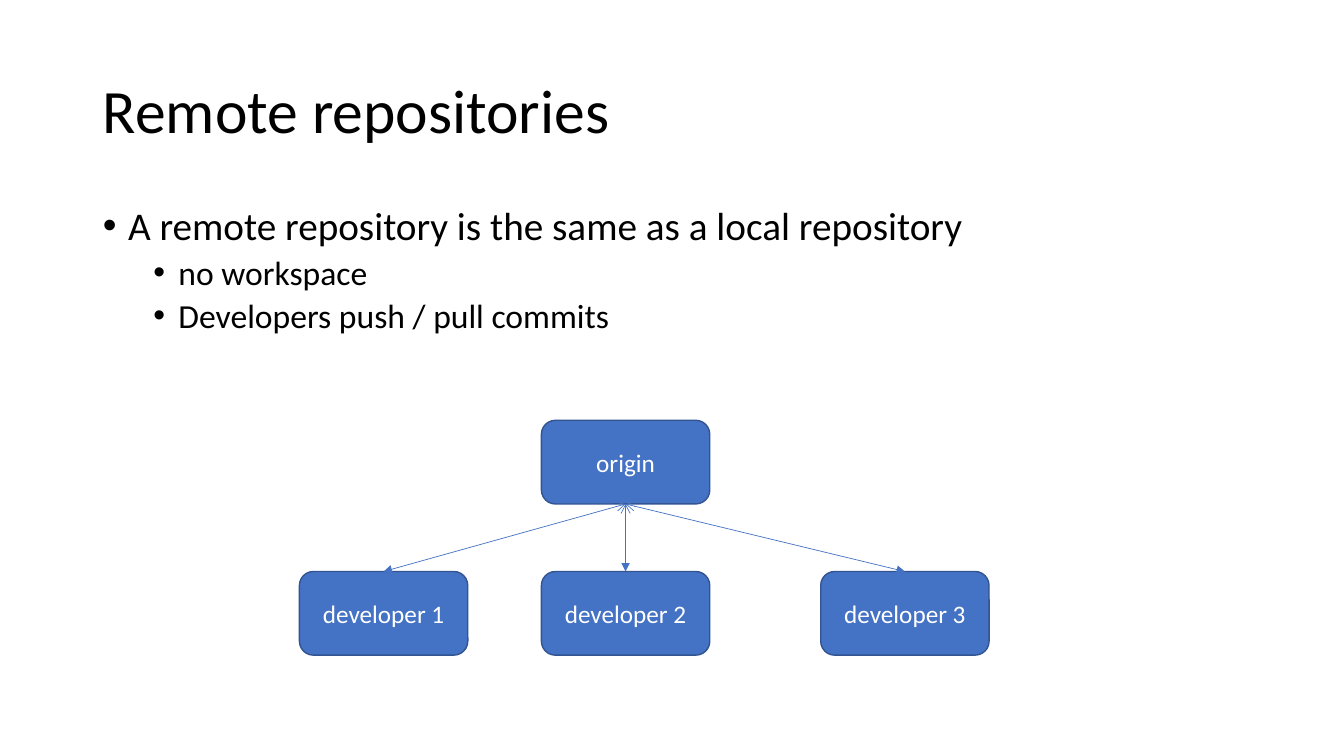
from dataclasses import dataclass

from lxml import etree
from pptx import Presentation, util as u
from pptx.dml.color import RGBColor
from pptx.enum import shapes, text
from pptx.oxml import ns

TITLE = "Remote repositories"
POINTS = [
    (0, "A remote repository is the same as a local repository"),
    (1, "no workspace"),
    (1, "Developers push / pull commits"),
]
ORIGIN = ("origin", 5.37, 4.17)
DEVELOPERS = [
    ("developer 2", 5.37, 5.67),
    ("developer 1", 2.97, 5.67),
    ("developer 3", 8.14, 5.67),
]
NODE_WIDTH, NODE_HEIGHT = 1.67, 0.83
MARGIN, CONTENT_WIDTH = 0.92, 11.5
BOTTOM, TOP = 2, 0


@dataclass(frozen=True)
class Theme:
    font: str = "Calibri"
    ink: str = "000000"
    light: str = "FFFFFF"
    fill: str = "4472C4"
    edge: str = "325491"
    title: int = 44
    levels: tuple = (28, 24)
    label: int = 18
    edge_width: float = 1
    arrow_width: float = 0.5


THEME = Theme()


def style(para, size, color):
    para.font.name = THEME.font
    para.font.size = u.Pt(size)
    para.font.color.rgb = RGBColor.from_string(color)


def place(box, left, top, width, height):
    box.left, box.top = u.Inches(left), u.Inches(top)
    box.width, box.height = u.Inches(width), u.Inches(height)


def add_title(page):
    box = page.shapes.title
    place(box, MARGIN, 0.4, CONTENT_WIDTH, 1.45)
    frame = box.text_frame
    frame.text = TITLE
    frame.auto_size = text.MSO_AUTO_SIZE.NONE
    frame.vertical_anchor = text.MSO_ANCHOR.MIDDLE
    para = frame.paragraphs[0]
    para.alignment = text.PP_ALIGN.LEFT
    para.line_spacing = 0.9
    style(para, THEME.title, THEME.ink)


def add_points(page):
    box = page.placeholders[1]
    place(box, MARGIN, 2, CONTENT_WIDTH, 4.76)
    frame = box.text_frame
    frame.text = "\n".join(words for _, words in POINTS)
    frame.auto_size = text.MSO_AUTO_SIZE.NONE
    for para, (level, _) in zip(frame.paragraphs, POINTS):
        para.level = level
        para.line_spacing = 0.9
        para.space_before = u.Pt(5 if level else 10)
        props = para._p.get_or_add_pPr()
        props.set("marL", str(u.Inches(0.25 + 0.5 * level)))
        props.set("indent", str(u.Inches(-0.25)))
        etree.SubElement(props, ns.qn("a:buFont"), typeface="Arial")
        etree.SubElement(props, ns.qn("a:buChar"), char="•")
        style(para, THEME.levels[level], THEME.ink)


def add_node(page, label, left, top):
    node = page.shapes.add_shape(
        shapes.MSO_SHAPE.ROUNDED_RECTANGLE,
        *map(u.Inches, (left, top, NODE_WIDTH, NODE_HEIGHT)))
    node.shadow.inherit = False
    node.fill.solid()
    node.fill.fore_color.rgb = RGBColor.from_string(THEME.fill)
    node.line.color.rgb = RGBColor.from_string(THEME.edge)
    node.line.width = u.Pt(THEME.edge_width)
    frame = node.text_frame
    frame.text = label
    frame.vertical_anchor = text.MSO_ANCHOR.MIDDLE
    para = frame.paragraphs[0]
    para.alignment = text.PP_ALIGN.CENTER
    style(para, THEME.label, THEME.light)
    return node


def add_arrow(page, developer, origin):
    arrow = page.shapes.add_connector(shapes.MSO_CONNECTOR.STRAIGHT, 0, 0, 0, 0)
    arrow.begin_connect(developer, TOP)
    arrow.end_connect(origin, BOTTOM)
    arrow.line.color.rgb = RGBColor.from_string(THEME.fill)
    arrow.line.width = u.Pt(THEME.arrow_width)
    line = arrow.line._get_or_add_ln()
    etree.SubElement(line, ns.qn("a:headEnd"), type="triangle")
    etree.SubElement(line, ns.qn("a:tailEnd"), type="arrow")
    etree.SubElement(arrow._element.spPr, ns.qn("a:effectLst"))


def main():
    deck = Presentation()
    deck.slide_width, deck.slide_height = u.Inches(13.33), u.Inches(7.5)
    page = deck.slides.add_slide(deck.slide_layouts[1])
    add_title(page)
    add_points(page)
    developers = [add_node(page, *developer) for developer in DEVELOPERS]
    origin = add_node(page, *ORIGIN)
    for developer in sorted(developers, key=lambda node: node.left):
        add_arrow(page, developer, origin)
    deck.save("out.pptx")


if __name__ == "__main__":
    main()
